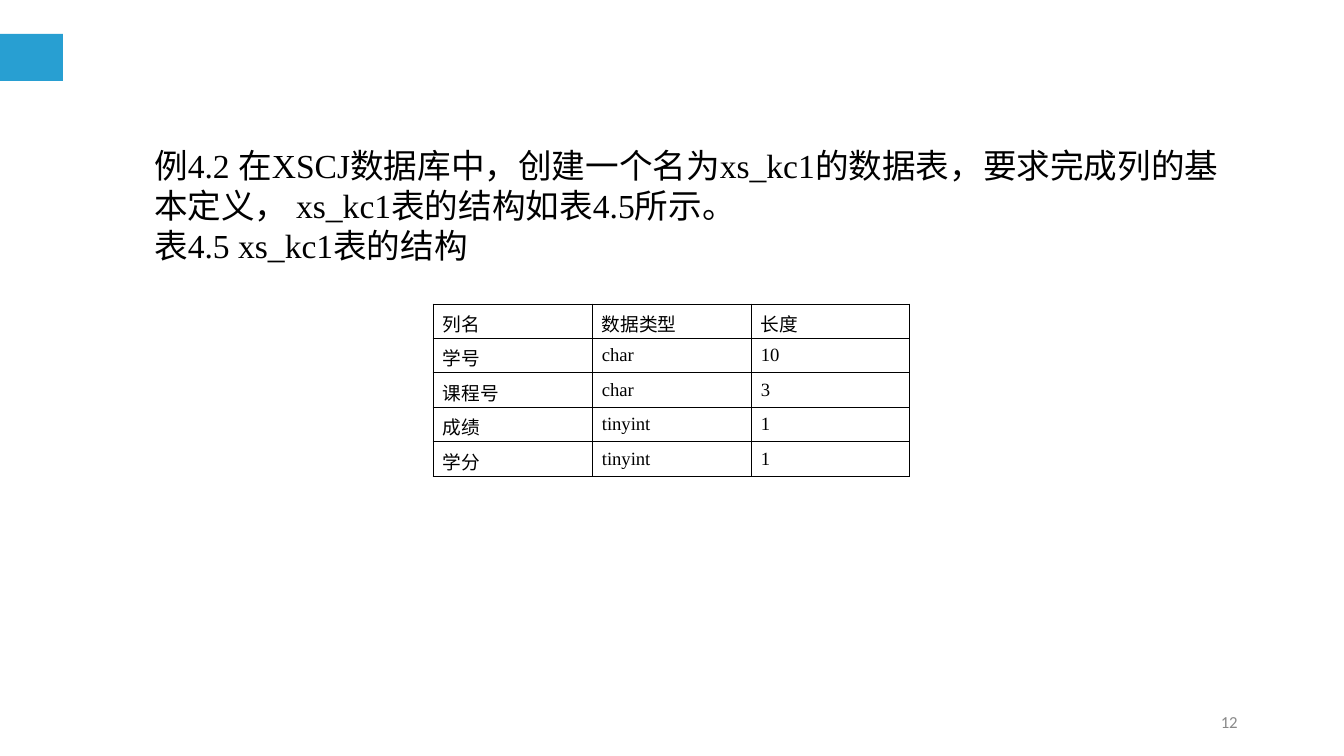
import pptx
import pptx.dml.color
import pptx.enum.shapes
import pptx.enum.text
import pptx.oxml
import pptx.oxml.ns
import pptx.util

EMU_PER_PX = 914400 / 134.4
SERIF = "Times New Roman"
BLACK = "000000"
ALIGN = pptx.enum.text.PP_ALIGN
MIDDLE = pptx.enum.text.MSO_ANCHOR.MIDDLE
TOP = pptx.enum.text.MSO_ANCHOR.TOP

INTRODUCTION = [
    "例4.2 在XSCJ数据库中，创建一个名为xs_kc1的数据表，要求完成列的基本定义， xs_kc1表的结构如表4.5所示。",
    "表4.5 xs_kc1表的结构",
]
COLUMN_DEFINITIONS = [
    ["列名", "数据类型", "长度"],
    ["学号", "char", "10"],
    ["课程号", "char", "3"],
    ["成绩", "tinyint", "1"],
    ["学分", "tinyint", "1"],
]


def px(length):
    return pptx.util.Emu(round(length * EMU_PER_PX))


def color(value):
    return pptx.dml.color.RGBColor.from_string(value)


def add_run(paragraph, text, size, font, fill, align):
    paragraph.alignment = align
    run = paragraph.add_run()
    run.text = text
    run.font.size = pptx.util.Pt(size)
    run.font.name = font
    run.font.color.rgb = color(fill)


def add_accent(slide, left, top, width, height, fill):
    shape = slide.shapes.add_shape(
        pptx.enum.shapes.MSO_SHAPE.RECTANGLE, px(left), px(top), px(width), px(height))
    shape.shadow.inherit = False
    shape.fill.solid()
    shape.fill.fore_color.rgb = color(fill)
    shape.line.fill.background()


def add_text(slide, left, top, width, height, lines, size, font, fill, align):
    frame = slide.shapes.add_textbox(px(left), px(top), px(width), px(height)).text_frame
    frame.word_wrap = True
    frame.vertical_anchor = MIDDLE
    for index, line in enumerate(lines):
        paragraph = frame.add_paragraph() if index else frame.paragraphs[0]
        add_run(paragraph, line, size, font, fill, align)


def add_borders(cell, fill, width):
    properties = cell._tc.get_or_add_tcPr()
    for position, side in enumerate(("lnL", "lnR", "lnT", "lnB")):
        properties.insert(position, pptx.oxml.parse_xml(
            f'<a:{side} {pptx.oxml.ns.nsdecls("a")} w="{pptx.util.Pt(width)}">'
            f'<a:solidFill><a:srgbClr val="{fill}"/></a:solidFill></a:{side}>'))


def add_table(slide, left, top, column_width, row_height, rows):
    table = slide.shapes.add_table(
        len(rows), len(rows[0]), px(left), px(top),
        px(column_width * len(rows[0])), px(row_height * len(rows))).table
    for column in table.columns:
        column.width = px(column_width)
    for row_index, values in enumerate(rows):
        table.rows[row_index].height = px(row_height)
        for column_index, value in enumerate(values):
            cell = table.cell(row_index, column_index)
            cell.fill.background()
            cell.margin_left = cell.margin_right = px(10)
            cell.margin_top = cell.margin_bottom = px(6)
            cell.vertical_anchor = MIDDLE if row_index else TOP
            add_run(cell.text_frame.paragraphs[0], value, 10, SERIF, BLACK, ALIGN.JUSTIFY)
            add_borders(cell, BLACK, 0.45)


def main():
    presentation = pptx.Presentation()
    presentation.slide_width = px(1344)
    presentation.slide_height = px(756)
    slide = presentation.slides.add_slide(presentation.slide_layouts[6])
    add_accent(slide, 0, 34, 63, 47, "289FD2")
    add_text(slide, 949, 702, 302, 40, ["12"], 9, "Calibri", "898989", ALIGN.RIGHT)
    add_table(slide, 433, 304, 159, 29, COLUMN_DEFINITIONS)
    add_text(slide, 141, 138, 1093, 134, INTRODUCTION, 18, SERIF, BLACK, ALIGN.LEFT)
    presentation.save("out.pptx")


if __name__ == "__main__":
    main()
